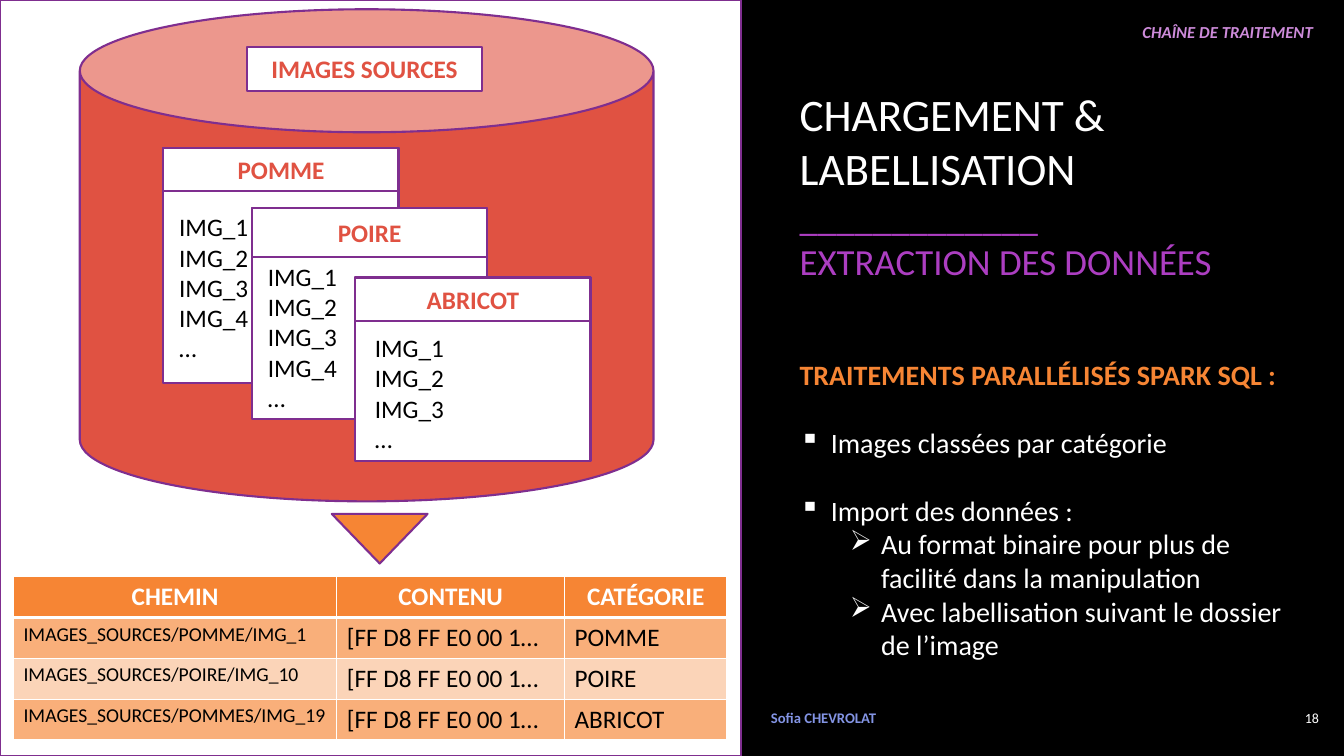
from pptx import Presentation
from pptx import util as u
from pptx.dml.color import RGBColor
from pptx.enum import shapes, text
from pptx.oxml.ns import qn
from lxml import etree

COLUMNS, ROWS = 160, 90
FONT = "Calibri"
WHITE, BLACK = "FFFFFF", "000000"
PURPLE, VIOLET, LILAC, BLUE = "7F2E8F", "AC3EC1", "CD8BDA", "8394E4"
RED, ORANGE = "E05242", "F68534"
LEFT, CENTER, RIGHT = text.PP_ALIGN.LEFT, text.PP_ALIGN.CENTER, text.PP_ALIGN.RIGHT
TOP, MIDDLE = text.MSO_ANCHOR.TOP, text.MSO_ANCHOR.MIDDLE
SHAPE = shapes.MSO_SHAPE


def rgb(value):
    return RGBColor.from_string(value)


def apply(target, formats):
    for name, value in formats.items():
        setattr(target, name, value)


class Deck:
    def __init__(self, presentation):
        self.cell = presentation.slide_width / COLUMNS
        self.slide = presentation.slides.add_slide(presentation.slide_layouts[5])
        self.shapes = self.slide.shapes

    def length(self, cells):
        return u.Emu(round(cells * self.cell))

    def box(self, *cells):
        return [self.length(value) for value in cells]

    def background(self, color):
        fill = self.slide.background.fill
        fill.solid()
        fill.fore_color.rgb = rgb(color)

    def add_words(self, paragraph, content, size, color, **formats):
        run = paragraph.add_run()
        run.text = content
        apply(run.font, {"name": FONT, "size": u.Pt(size), "bold": False, **formats})
        run.font.color.rgb = rgb(color)

    def lines(self, frame, contents, size, color, align=LEFT, anchor=TOP, **formats):
        apply(frame, {"word_wrap": True, "vertical_anchor": anchor})
        for index, content in enumerate(contents):
            paragraph = frame.add_paragraph() if index else frame.paragraphs[0]
            paragraph.alignment = align
            self.add_words(paragraph, content, size, color, **formats)

    def text(self, place, contents, size, color, **formats):
        frame = self.shapes.add_textbox(*self.box(*place)).text_frame
        self.lines(frame, contents, size, color, **formats)
        return frame

    def shape(self, kind, place, fill):
        shape = self.shapes.add_shape(kind, *self.box(*place))
        shape.shadow.inherit = False
        shape.fill.solid()
        shape.fill.fore_color.rgb = rgb(fill)
        shape.line.color.rgb = rgb(PURPLE)
        shape.line.width = u.Pt(1.5)
        return shape

    def label(self, place, content):
        frame = self.shape(SHAPE.RECTANGLE, place, WHITE).text_frame
        self.lines(frame, [content], 18, RED, align=CENTER, anchor=MIDDLE, bold=True)

    def title(self, place, heading, rule, subtitle):
        title = self.shapes.title
        apply(title, dict(zip(("left", "top", "width", "height"), self.box(*place))))
        frame = title.text_frame
        apply(frame, {"auto_size": text.MSO_AUTO_SIZE.NONE, "margin_bottom": u.Inches(0.5)})
        self.lines(frame, [heading], 32.2, WHITE, anchor=MIDDLE)
        first = frame.paragraphs[0]
        first.add_line_break()
        self.add_words(first, rule, 26.3, VIOLET)
        second = frame.add_paragraph()
        self.add_words(second, subtitle, 26.3, VIOLET)
        for paragraph in (first, second):
            apply(paragraph, {"alignment": LEFT, "line_spacing": 1.0, "space_before": u.Pt(0)})

    def bullet(self, frame, content, level, mark, gap):
        paragraph = frame.add_paragraph()
        properties = paragraph._p.get_or_add_pPr()
        properties.set("marL", str(u.Inches(0.31 + 0.5 * level)))
        properties.set("indent", str(u.Inches(-0.31)))
        etree.SubElement(properties, qn("a:buChar")).set("char", mark)
        apply(paragraph, {"level": level, "space_before": u.Pt(gap)})
        self.add_words(paragraph, content, 20, WHITE)

    def card(self, place, head_height, list_place, name, images):
        left, top, width, height = place
        self.shape(SHAPE.RECTANGLE, place, WHITE)
        self.label((left, top, width, head_height), name)
        self.text(list_place, images, 18, BLACK)

    def borders(self, cell, bottom):
        properties = cell._tc.get_or_add_tcPr()
        for side, width in (("L", 1), ("R", 1), ("T", 1), ("B", bottom)):
            line = etree.SubElement(properties, qn(f"a:ln{side}"), w=str(u.Pt(width)))
            fill = etree.SubElement(line, qn("a:solidFill"))
            etree.SubElement(fill, qn("a:srgbClr"), val=WHITE)

    def fill_cell(self, cell, opacity):
        cell.fill.solid()
        cell.fill.fore_color.rgb = rgb(ORANGE)
        color = cell._tc.tcPr.find(f"{qn('a:solidFill')}/{qn('a:srgbClr')}")
        etree.SubElement(color, qn("a:alpha"), val=str(opacity * 1000))

    def table(self, left, top, widths, row_height, records):
        place = self.box(left, top, sum(widths), row_height * len(records))
        table = self.shapes.add_table(len(records), len(widths), *place).table
        table.horz_banding = False
        for column, width in zip(table.columns, widths):
            column.width = self.length(width)
        for row_index, record in enumerate(records):
            table.rows[row_index].height = self.length(row_height)
            header = row_index == 0
            opacity = 100 if header else 65 if row_index % 2 else 35
            for column_index, content in enumerate(record):
                cell = table.cell(row_index, column_index)
                self.borders(cell, 3 if header else 1)
                self.fill_cell(cell, opacity)
                size = 18 if header or column_index else 14
                self.lines(cell.text_frame, [content], size, WHITE if header else BLACK,
                           align=CENTER if header else LEFT, bold=header)


def main():
    presentation = Presentation()
    presentation.slide_width, presentation.slide_height = u.Inches(13.33), u.Inches(7.5)
    deck = Deck(presentation)
    deck.background(BLACK)

    deck.shape(SHAPE.RECTANGLE, (0, 0, 88.2, ROWS), WHITE)
    deck.text((151, 83, 7.2, 5), ["18"], 10, WHITE, align=RIGHT, anchor=MIDDLE)
    deck.text((90.6, 83, 21.1, 5), ["Sofia CHEVROLAT"], 10.5, BLUE, anchor=MIDDLE, bold=True)
    deck.text((92, 2, 65.5, 3.6), ["CHAÎNE DE TRAITEMENT"], 12, LILAC,
              align=RIGHT, bold=True, italic=True)
    deck.title((94, 10.8, 58.3, 27.8), "CHARGEMENT & LABELLISATION",
               "_____________", "EXTRACTION DES DONNÉES")

    body = deck.text((94, 42, 60.5, 37.6), ["TRAITEMENTS PARALLÉLISÉS SPARK SQL :"],
                     20, ORANGE, bold=True)
    for content, level, mark, gap in (
        ("Images classées par catégorie", 0, "▪", 24.4),
        ("Import des données :", 0, "▪", 24.4),
        ("Au format binaire pour plus de facilité dans la manipulation", 1, "➢", 0),
        ("Avec labellisation suivant le dossier de l’image", 1, "➢", 0),
    ):
        deck.bullet(body, content, level, mark, gap)

    deck.shape(SHAPE.CAN, (9.5, 1.1, 68.3, 58.6), RED)
    deck.label((29.4, 5.6, 28, 5.2), "IMAGES SOURCES")
    for place, head_height, list_place, name, count in (
        ((19.45, 17.65, 28, 28), 5.15, (20.15, 24.6, 25.9, 19.4), "POMME", 4),
        ((30, 24.75, 28, 25.15), 5.85, (30.7, 30.5, 25.9, 19.4), "POIRE", 4),
        ((42.3, 33.05, 28, 21.9), 5.15, (43.45, 39, 25.9, 15.7), "ABRICOT", 3),
    ):
        images = [f"IMG_{number}" for number in range(1, count + 1)] + ["…"]
        deck.card(place, head_height, list_place, name, images)

    content = "[FF D8 FF E0 00 1…"
    deck.table(1.6, 68.65, (38.5, 27.1, 19.35), 4.87, (
        ("CHEMIN", "CONTENU", "CATÉGORIE"),
        ("IMAGES_SOURCES/POMME/IMG_1", content, "POMME"),
        ("IMAGES_SOURCES/POIRE/IMG_10", content, "POIRE"),
        ("IMAGES_SOURCES/POMMES/IMG_19", content, "ABRICOT"),
    ))
    deck.shape(SHAPE.ISOSCELES_TRIANGLE, (39.5, 61.2, 11.4, 5.9), ORANGE).rotation = 180

    presentation.save("out.pptx")


if __name__ == "__main__":
    main()
